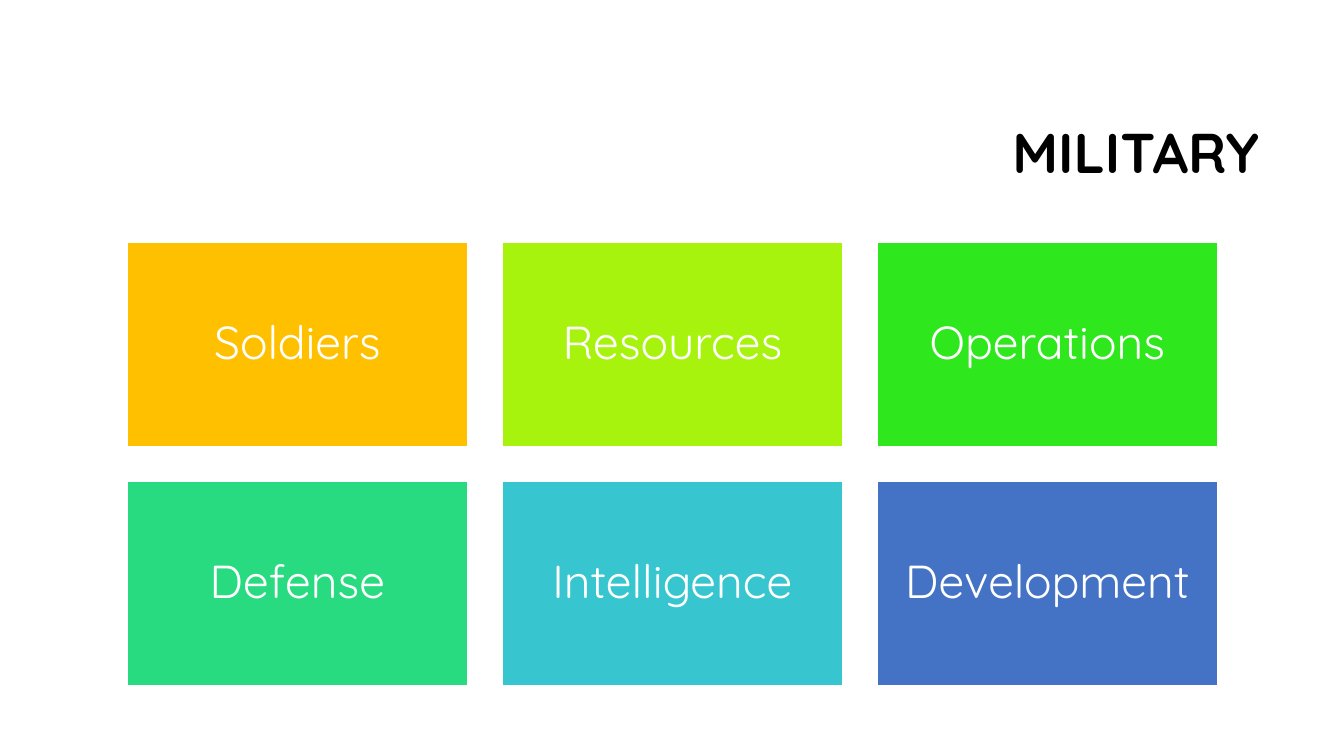
from dataclasses import dataclass

from pptx import Presentation
from pptx.dml.color import RGBColor
from pptx.enum import shapes, text
from pptx.util import Cm, Pt

FONT = "Quicksand"
WHITE = "FFFFFF"
COLS = 3
LEFT, TOP = 3.2, 6.1
WIDTH, HEIGHT = 8.59, 5.16
GAP = 0.86


@dataclass
class Tile:
    label: str
    fill: str


TILES = [
    Tile("Soldiers", "FFC000"),
    Tile("Resources", "A7F30E"),
    Tile("Operations", "2EE71C"),
    Tile("Defense", "29DB80"),
    Tile("Intelligence", "37C6CF"),
    Tile("Development", "4472C4"),
]


def paint(target, color: str) -> None:
    target.solid()
    target.fore_color.rgb = RGBColor.from_string(color)


def write(shape, words: str, size: float, color: str, align, bold: bool = False) -> None:
    frame = shape.text_frame
    frame.text = words
    frame.word_wrap = True
    frame.auto_size = text.MSO_AUTO_SIZE.NONE
    frame.vertical_anchor = text.MSO_ANCHOR.MIDDLE
    para = frame.paragraphs[0]
    para.alignment = align
    para.line_spacing = 0.9
    font = para.runs[0].font
    font.name = FONT
    font.size = Pt(size)
    font.bold = bold
    paint(font.fill, color)


def draw_title(slide) -> None:
    title = slide.shapes.title
    title.left, title.top = Cm(8.05), Cm(2.13)
    title.width, title.height = Cm(23.93), Cm(3.58)
    write(title, "MILITARY", 40, "000000", text.PP_ALIGN.RIGHT, bold=True)


def draw_tile(slide, tile: Tile, row: int, col: int) -> None:
    box = slide.shapes.add_shape(
        shapes.MSO_SHAPE.RECTANGLE,
        Cm(LEFT + col * (WIDTH + GAP)),
        Cm(TOP + row * (HEIGHT + GAP)),
        Cm(WIDTH),
        Cm(HEIGHT),
    )
    box.shadow.inherit = False
    paint(box.fill, tile.fill)
    paint(box.line.fill, WHITE)
    box.line.width = Pt(1)
    frame = box.text_frame
    frame.margin_left = frame.margin_right = Cm(0.35)
    frame.margin_top = frame.margin_bottom = Cm(0.35)
    write(box, tile.label, 33, WHITE, text.PP_ALIGN.CENTER)


def main() -> None:
    deck = Presentation()
    deck.slide_width, deck.slide_height = Cm(33.87), Cm(19.05)
    slide = deck.slides.add_slide(deck.slide_layouts[5])
    paint(slide.background.fill, WHITE)
    draw_title(slide)
    for index, tile in enumerate(TILES):
        draw_tile(slide, tile, *divmod(index, COLS))
    deck.save("out.pptx")


if __name__ == "__main__":
    main()
